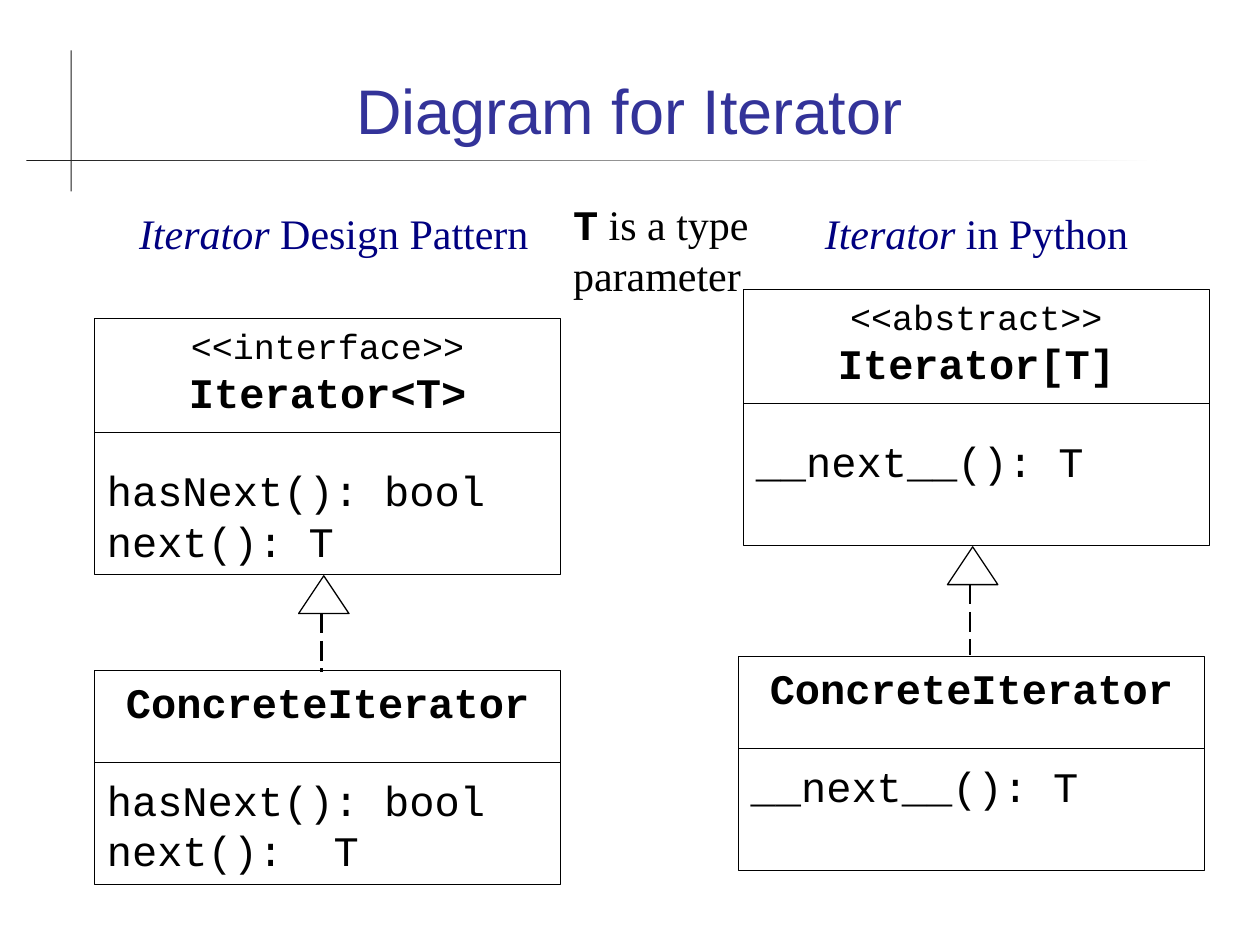
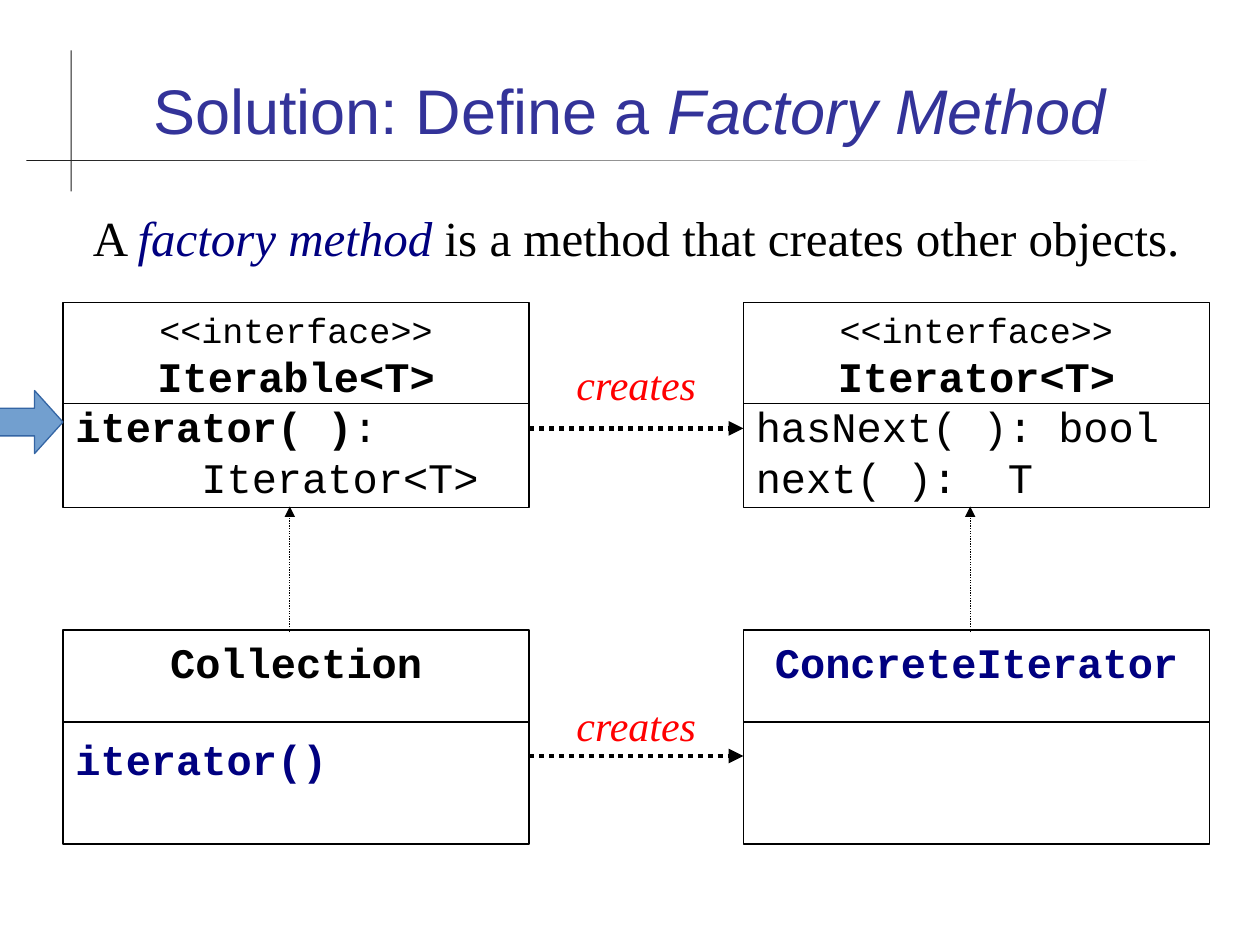
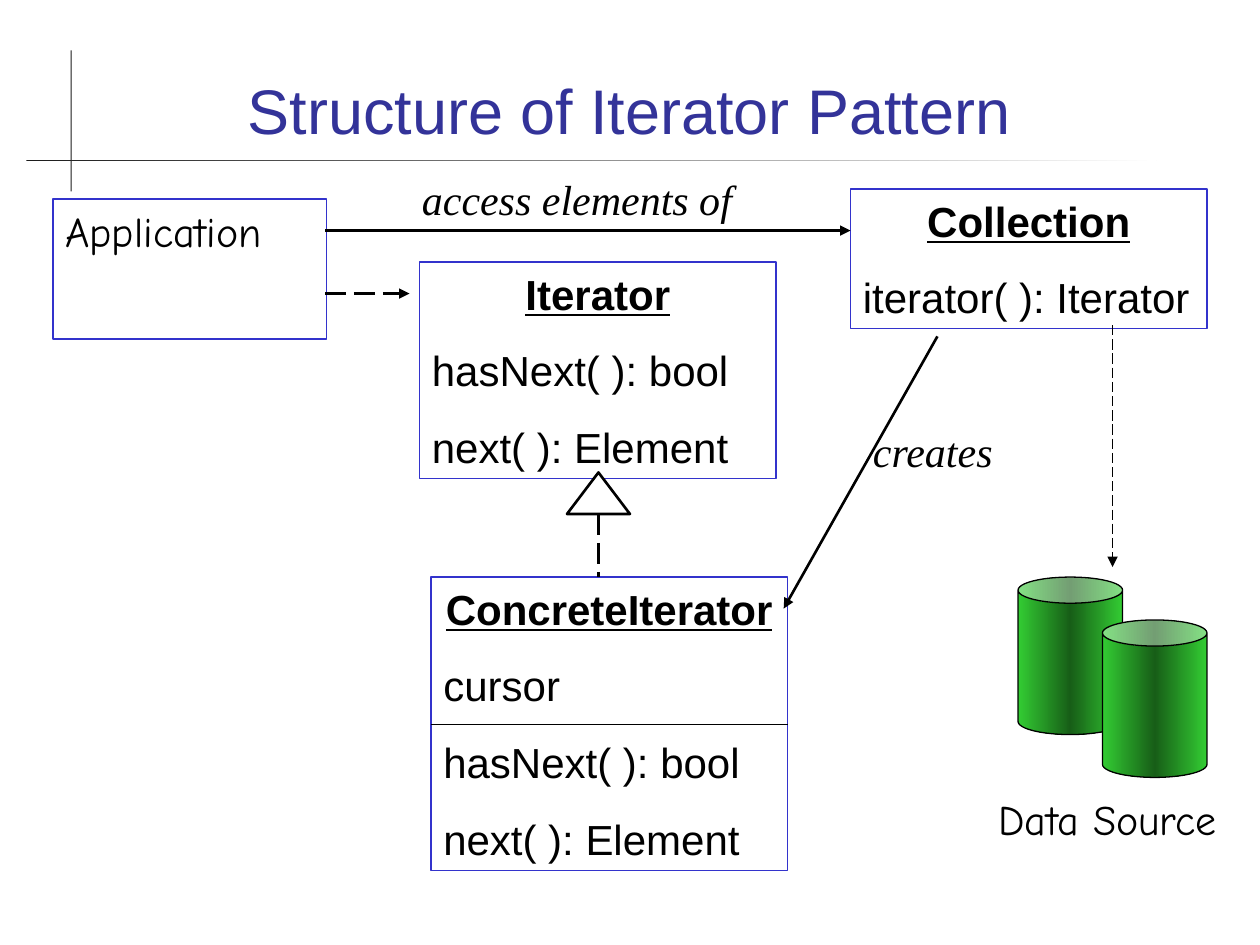
from copy import deepcopy

from pptx import Presentation
from pptx.dml.color import RGBColor
from pptx.enum.dml import MSO_LINE
from pptx.enum.shapes import MSO_CONNECTOR, MSO_SHAPE
from pptx.enum.text import MSO_ANCHOR, PP_ALIGN
from pptx.oxml.ns import qn
from pptx.oxml.xmlchemy import OxmlElement
from pptx.util import Inches, Pt

rgb = RGBColor.from_string

BLACK, WHITE, INK = "000000", "FFFFFF", "1C1C1C"
NAVY, RED, BORDER = "000080", "FF0000", "3333CC"
TITLE_COLOUR = "333399"
GREEN, DARK_GREEN = "33CC33", "175E17"

CODE = {"name": "Courier New", "size": Pt(24), "color": BLACK}
SERIF = {**CODE, "name": "Times New Roman"}
SANS = {**CODE, "name": "Arial"}
COMIC = {**CODE, "name": "Comic Neue"}

BOLD, ITALIC = {"bold": True}, {"italic": True}
HEADING = {"bold": True, "underline": True}
LEFT = {"alignment": PP_ALIGN.LEFT}
CENTER = {"alignment": PP_ALIGN.CENTER}
AFTER_NAME = {**LEFT, "space_before": Pt(27)}
SPACED = {**LEFT, "space_before": Pt(15)}

DASHED, DOTTED = MSO_LINE.LONG_DASH, MSO_LINE.ROUND_DOT


def add_box(slide, at, font=None, lines=(), kind=None, fill=None, border=None, width=0.75):
    """Add a preset shape, or a text box without kind; a line is (format, (text, font), ...)."""
    place = [Inches(length) for length in at]
    if kind is None:
        shape = slide.shapes.add_textbox(*place)
    else:
        shape = slide.shapes.add_shape(kind, *place)
        shape.shadow.inherit = False
        for target, colour in ((shape.fill, fill), (shape.line.fill, border)):
            if colour:
                target.solid()
                target.fore_color.rgb = rgb(colour)
            else:
                target.background()
        if border:
            shape.line.width = Pt(width)
    frame = shape.text_frame
    frame.word_wrap = True
    frame.vertical_anchor = MSO_ANCHOR.TOP
    for index, (layout, *runs) in enumerate(lines):
        paragraph = frame.add_paragraph() if index else frame.paragraphs[0]
        for name, value in layout.items():
            if name == "indent":
                paragraph._p.get_or_add_pPr().set("marL", str(value))
            else:
                setattr(paragraph, name, value)
        for text, changes in runs:
            run = paragraph.add_run()
            run.text = text
            for name, value in {**font, **changes}.items():
                if name == "color":
                    run.font.color.rgb = rgb(value)
                else:
                    setattr(run.font, name, value)
    return shape


def add_line(slide, start, end, width=0.75, dash=None, arrow=False):
    points = [Inches(length) for length in (*start, *end)]
    connector = slide.shapes.add_connector(MSO_CONNECTOR.STRAIGHT, *points)
    line = connector.line
    line.color.rgb = rgb(BLACK)
    line.width = Pt(width)
    if dash:
        line.dash_style = dash
    if arrow:
        head = OxmlElement("a:tailEnd")
        head.set("type", "triangle")
        line._get_or_add_ln().append(head)
    connector._element.spPr.append(OxmlElement("a:effectLst"))


presentation = Presentation()
presentation.slide_width, presentation.slide_height = Inches(10), Inches(7.5)

# Titles and crossed rules
titles = [
    [("Diagram for Iterator", False)],
    [("Solution: Define a ", False), ("Factory Method", True)],
    [("Structure of Iterator Pattern", False)],
]
slides = []
for title_runs in titles:
    slide = presentation.slides.add_slide(presentation.slide_layouts[5])
    add_box(slide, (0.56, 0.4, 0.01, 1.12), kind=MSO_SHAPE.RECTANGLE, fill=INK)
    rule = add_box(slide, (0.21, 1.27, 8.97, 0.01), kind=MSO_SHAPE.RECTANGLE)
    rule.fill.gradient()
    rule.fill.gradient_angle = 0
    for stop, colour in zip(rule.fill.gradient_stops, (INK, WHITE)):
        stop.color.rgb = rgb(colour)

    title = slide.shapes.title
    title.left, title.top, title.width, title.height = map(Inches, (0.67, 0.28, 8.65, 0.94))
    title.text_frame.vertical_anchor = MSO_ANCHOR.BOTTOM
    paragraph = title.text_frame.paragraphs[0]
    paragraph.alignment = PP_ALIGN.CENTER
    for text, italic in title_runs:
        run = paragraph.add_run()
        run.text = text
        for name, value in {"name": "Arial", "size": Pt(36), "italic": italic}.items():
            setattr(run.font, name, value)
        run.font.color.rgb = rgb(TITLE_COLOUR)
    slides.append(slide)

diagram, factory, structure = slides

# Class boxes of the first two slides:
# slide, left, top, height, divider offset, stereotype, name, name colour, methods
classes = [
    (diagram, 0.75, 2.53, 2.03, 0.9, "<<interface>>", "Iterator<T>", BLACK,
     [(AFTER_NAME, ("hasNext(): bool", {})), (LEFT, ("next(): T", {}))]),
    (diagram, 0.75, 5.32, 1.7, 0.73, None, "ConcreteIterator", BLACK,
     [(AFTER_NAME, ("hasNext(): bool", {})), (LEFT, ("next():  T", {}))]),
    (diagram, 5.9, 2.3, 2.03, 0.9, "<<abstract>>", "Iterator[T]", BLACK,
     [(AFTER_NAME, ("__next__(): T", {}))]),
    (diagram, 5.86, 5.21, 1.7, 0.73, None, "ConcreteIterator", BLACK,
     [(AFTER_NAME, ("__next__(): T", {}))]),
    (factory, 5.9, 2.4, 1.63, 0.8, "<<interface>>", "Iterator<T>", BLACK,
     [(LEFT, ("hasNext( ): bool", {})), (LEFT, ("next( ):  T", {}))]),
    (factory, 5.9, 5, 1.7, 0.73, None, "ConcreteIterator", NAVY, []),
    (factory, 0.5, 2.4, 1.63, 0.8, "<<interface>>", "Iterable<T>", BLACK,
     [(LEFT, ("iterator( )", BOLD), (":", {})),
      ({**LEFT, "indent": Inches(1)}, ("Iterator<T>", {}))]),
    (factory, 0.5, 5, 1.7, 0.73, None, "Collection", BLACK,
     [(AFTER_NAME, ("iterator()", {"bold": True, "color": NAVY}))]),
]
for slide, left, top, height, divider, stereotype, name, colour, methods in classes:
    lines = [(CENTER, (name, {"bold": True, "color": colour})), *methods]
    if stereotype:
        lines.insert(0, (CENTER, (stereotype, {"size": Pt(20)})))
    add_box(slide, (left, top, 3.7, height), CODE, lines, MSO_SHAPE.RECTANGLE, border=BLACK)
    add_line(slide, (left, top + divider), (left + 3.7, top + divider))

# Slide 1: inheritance arrows and captions
for left, top, end in ((2.37, 4.57, 5.33), (7.52, 4.34, 5.2)):
    add_box(diagram, (left, top, 0.4, 0.3), kind=MSO_SHAPE.ISOSCELES_TRIANGLE, border=BLACK)
    add_line(diagram, (left + 0.18, top + 0.3), (left + 0.18, end), 1.42, DASHED)
add_box(diagram, (4.45, 1.53, 1.7, 1), SERIF,
        [(LEFT, ("T", {"name": "Courier New", "bold": True}), (" is a type parameter", {}))])
for left, caption in ((0.8, " Design Pattern"), (5.9, " in Python")):
    add_box(diagram, (left, 1.6, 3.7, 0.5), {**SERIF, "color": NAVY},
            [(CENTER, ("Iterator", ITALIC), (caption, {}))])

# Slide 2: relations and definition
for x in (2.3, 7.7):
    add_line(factory, (x, 5.02), (x, 4.02), dash=DOTTED, arrow=True)
for arrow_y, label_top in ((3.4, 2.8), (6, 5.5)):
    add_line(factory, (4.2, arrow_y), (5.9, arrow_y), 2.83, DOTTED, True)
    add_box(factory, (4.2, label_top, 1.7, 0.5), {**SERIF, "color": RED},
            [(CENTER, ("creates", ITALIC))])
add_box(factory, (0.6, 1.6, 8.9, 0.57), {**SERIF, "size": Pt(28)},
        [(CENTER, ("A ", {}), ("factory method", {"italic": True, "color": NAVY}),
          (" is a method that creates other objects.", {}))])
pointer = add_box(factory, (-0.2, 3.1, 0.7, 0.5), kind=MSO_SHAPE.RIGHT_ARROW,
                  fill="729FCF", border="3465A4")
pointer.adjustments[0], pointer.adjustments[1] = 0.44, 0.45

# Slide 3: participants
participants = [
    ((3.33, 2.08, 2.83, 1.72), "Iterator", ["hasNext( ): bool", "next( ): Element"]),
    ((3.42, 4.58, 2.83, 2.33), "ConcreteIterator",
     ["cursor", "hasNext( ): bool", "next( ): Element"]),
    ((6.75, 1.5, 2.83, 1.11), "Collection", ["iterator( ): Iterator"]),
]
for at, name, members in participants:
    lines = [(CENTER, (name, HEADING)), *((SPACED, (member, {})) for member in members)]
    add_box(structure, at, SANS, lines, MSO_SHAPE.RECTANGLE, border=BORDER)
add_box(structure, (0.42, 1.58, 2.17, 1.11), COMIC, [(LEFT, ("Application", {}))],
        MSO_SHAPE.RECTANGLE, border=BORDER)
add_box(structure, (4.5, 3.75, 0.5, 0.33), kind=MSO_SHAPE.ISOSCELES_TRIANGLE,
        fill=WHITE, border=BLACK, width=1.5)

# Slide 3: data source
for left, top in ((8.08, 4.58), (8.75, 4.92)):
    can = add_box(structure, (left, top, 0.83, 1.25), kind=MSO_SHAPE.CAN, border=BLACK)
    can.fill.gradient()
    can.fill.gradient_angle = 0
    stop_list = can._element.spPr.find(".//" + qn("a:gsLst"))
    stop_list.append(deepcopy(stop_list[0]))
    stops = zip(can.fill.gradient_stops, (0, 0.5, 1), (GREEN, DARK_GREEN, GREEN))
    for stop, position, colour in stops:
        stop.position = position
        stop.color.rgb = rgb(colour)

# Slide 3: relations and labels
relations = [
    ((4.75, 4.08), (4.75, 4.58), 1.5, DASHED, False),
    ((3.42, 5.75), (6.25, 5.75), 0.75, None, False),
    ((2.58, 1.83), (6.75, 1.83), 1.5, None, True),
    ((2.58, 2.33), (3.25, 2.33), 1.5, DASHED, True),
    ((7.44, 2.67), (6.22, 4.83), 1.5, None, True),
    ((8.83, 2.58), (8.83, 4.5), 0.75, DASHED, True),
]
for relation in relations:
    add_line(structure, *relation)
labels = [
    ((7.58, 6.25, 2.42, 0.5), COMIC, CENTER, "Data Source", {}),
    ((3.25, 1.33, 2.75, 0.5), SERIF, LEFT, "access elements of", ITALIC),
    ((6.83, 3.33, 1.25, 0.5), SERIF, LEFT, "creates", ITALIC),
]
for at, font, layout, text, emphasis in labels:
    add_box(structure, at, font, [(layout, (text, emphasis))])

presentation.save("out.pptx")
